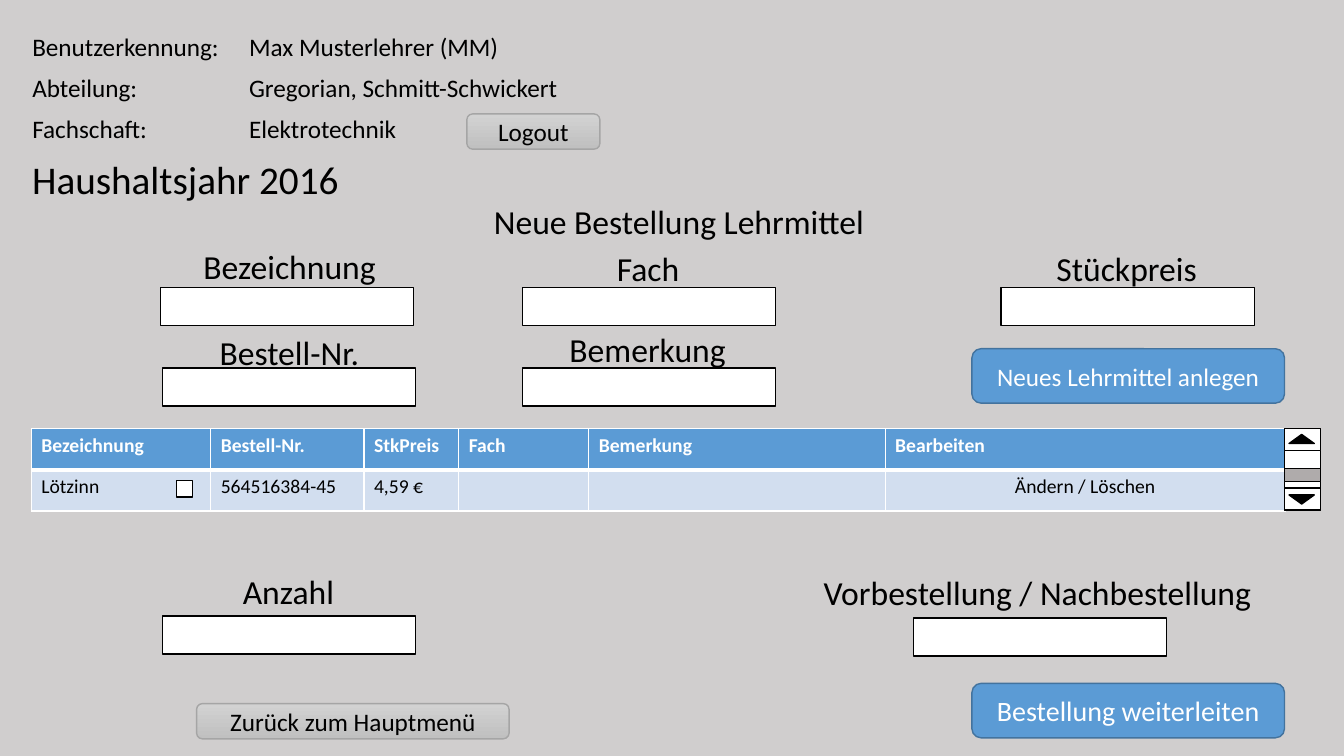
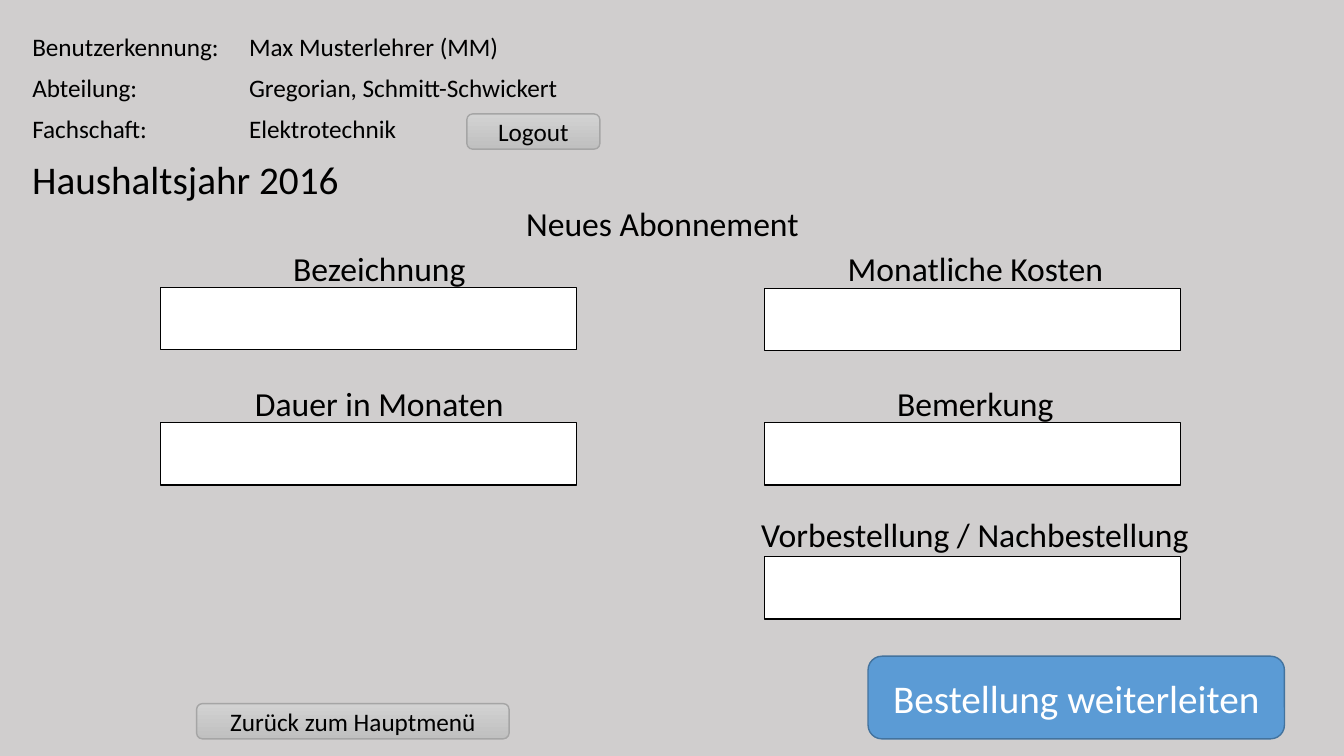
from dataclasses import dataclass

from lxml.etree import SubElement
from pptx import Presentation
from pptx.dml.color import RGBColor
from pptx.enum.shapes import MSO_SHAPE as Shape
from pptx.enum.text import MSO_ANCHOR as Anchor, MSO_AUTO_SIZE as AutoSize, PP_ALIGN as Align
from pptx.oxml.ns import qn
from pptx.shapes.autoshape import Shape as AutoShape
from pptx.shapes.shapetree import _BaseGroupShapes as Shapes
from pptx.slide import Slide
from pptx.table import Table, _Cell as Cell
from pptx.util import Inches, Pt

# Shared look
FONT = "Calibri"
BLACK, WHITE = "000000", "FFFFFF"
BACKGROUND, THUMB = "D0CECE", "AFABAB"
BLUE, BLUE_LINE, BLUE_PALE = "5B9BD5", "43739E", "D2DEEF"
GRAY_TOP, GRAY_BOTTOM, GRAY_LINE = "D2D2D2", "C0C0C0", "A5A5A5"
NO_STYLE = "{2D5ABB26-0587-4C30-8999-92F81FD0307C}"

USER_INFO = [
    ["Benutzerkennung:", "Max Musterlehrer (MM)"],
    ["Abteilung:", "Gregorian, Schmitt-Schwickert"],
    ["Fachschaft:", "Elektrotechnik"],
]
ORDER_ROWS = [
    ["Bezeichnung", "Bestell-Nr.", "StkPreis", "Fach", "Bemerkung", "Bearbeiten"],
    ["Lötzinn", "564516384-45", "4,59 €", "", "", "Ändern / Löschen"],
]


@dataclass
class Rect:
    left: float
    top: float
    width: float
    height: float

    def emu(self) -> list[int]:
        return [Inches(v) for v in (self.left, self.top, self.width, self.height)]


@dataclass
class Label:
    text: str
    left: float
    top: float
    width: float
    size: int = 24
    height: float = 0.5


@dataclass
class Field:
    label: Label
    left: float
    top: float


@dataclass
class Button:
    text: str
    rect: Rect
    size: int = 18
    gray: bool = False


def rgb(value: str) -> RGBColor:
    return RGBColor.from_string(value)


def set_font(p, size: int, color: str = BLACK, bold: bool = False) -> None:
    p.font.name, p.font.size, p.font.bold = FONT, Pt(size), bold
    p.font.color.rgb = rgb(color)


# Basic parts
def add_box(shapes: Shapes, rect: Rect, kind: Shape = Shape.RECTANGLE,
            fill: str = WHITE, line: str = BLACK) -> AutoShape:
    sp = shapes.add_shape(kind, *rect.emu())
    sp.shadow.inherit = False
    sp.fill.solid()
    sp.fill.fore_color.rgb = rgb(fill)
    sp.line.color.rgb = rgb(line)
    sp.line.width = Pt(1)
    return sp


def add_label(slide: Slide, label: Label) -> None:
    rect = Rect(label.left, label.top, label.width, label.height)
    tf = slide.shapes.add_textbox(*rect.emu()).text_frame
    tf.word_wrap = False
    tf.auto_size = AutoSize.SHAPE_TO_FIT_TEXT
    p = tf.paragraphs[0]
    p.text = label.text
    set_font(p, label.size)


def add_fields(slide: Slide, fields: list[Field], width: float, height: float) -> None:
    for field in fields:
        add_box(slide.shapes, Rect(field.left, field.top, width, height))
        add_label(slide, field.label)


def add_button(slide: Slide, button: Button) -> None:
    line = GRAY_LINE if button.gray else BLUE_LINE
    sp = add_box(slide.shapes, button.rect, Shape.ROUNDED_RECTANGLE, BLUE, line)
    if button.gray:
        sp.fill.gradient()
        sp.fill.gradient_angle = 270
        for stop, color in zip(sp.fill.gradient_stops, (GRAY_TOP, GRAY_BOTTOM)):
            stop.color.rgb = rgb(color)
    tf = sp.text_frame
    tf.word_wrap = True
    tf.vertical_anchor = Anchor.MIDDLE
    p = tf.paragraphs[0]
    p.text, p.alignment = button.text, Align.CENTER
    set_font(p, button.size, BLACK if button.gray else WHITE)


# Tables
def add_table(slide: Slide, left: float, top: float, widths: list[float],
              rows: list[list[str]], size: int) -> Table:
    row_height = 0.41
    rect = Rect(left, top, sum(widths), row_height * len(rows))
    table = slide.shapes.add_table(len(rows), len(widths), *rect.emu()).table
    table.first_row = table.horz_banding = False
    table._tbl.tblPr.find(qn("a:tableStyleId")).text = NO_STYLE
    for column, width in zip(table.columns, widths):
        column.width = Inches(width)
    for r, texts in enumerate(rows):
        table.rows[r].height = Inches(row_height)
        for c, text in enumerate(texts):
            cell = table.cell(r, c)
            cell.fill.background()
            p = cell.text_frame.paragraphs[0]
            p.text = text
            set_font(p, size)
    return table


def set_borders(cell: Cell, top: float, bottom: float) -> None:
    tc_pr = cell._tc.get_or_add_tcPr()
    for i, (side, width) in enumerate([("L", 1), ("R", 1), ("T", top), ("B", bottom)]):
        ln = SubElement(tc_pr, qn(f"a:ln{side}"), w=str(Pt(width)))
        SubElement(SubElement(ln, qn("a:solidFill")), qn("a:srgbClr"), val=WHITE)
        tc_pr.insert(i, ln)


def add_order_table(slide: Slide) -> None:
    widths = [1.78, 1.52, 0.94, 1.29, 2.94, 3.97]
    table = add_table(slide, 0.31, 4.25, widths, ORDER_ROWS, 14)
    for c in range(len(widths)):
        header, body = table.cell(0, c), table.cell(1, c)
        set_font(header.text_frame.paragraphs[0], 14, WHITE, bold=True)
        set_borders(header, 1, 3)
        set_borders(body, 3, 1)
        for cell, color in ((header, BLUE), (body, BLUE_PALE)):
            cell.fill.solid()
            cell.fill.fore_color.rgb = rgb(color)
    table.cell(1, len(widths) - 1).text_frame.paragraphs[0].alignment = Align.CENTER


def add_scrollbar(slide: Slide) -> None:
    shapes = slide.shapes.add_group_shape().shapes
    left, width = 12.74, 0.36
    for top, height, fill in [(4.25, 0.81, WHITE), (4.25, 0.22, WHITE),
                              (4.84, 0.22, WHITE), (4.65, 0.13, THUMB)]:
        add_box(shapes, Rect(left, top, width, height), fill=fill)
    for top, rotation in [(4.31, 0), (4.91, 180)]:
        arrow = add_box(shapes, Rect(12.785, top, 0.25, 0.09),
                        Shape.ISOSCELES_TRIANGLE, BLACK)
        arrow.rotation = rotation


# Frame of every form
def add_form(prs: Presentation, title: Label) -> Slide:
    slide = prs.slides.add_slide(prs.slide_layouts[6])
    add_table(slide, 0.22, 0.27, [2.15, 3.57], USER_INFO, 18)
    add_label(slide, Label("Haushaltsjahr 2016", 0.22, 1.49, 3.28, 28, 0.57))
    add_button(slide, Button("Logout", Rect(4.63, 1.13, 1.32, 0.35), gray=True))
    add_button(slide, Button("Zurück zum Hauptmenü", Rect(1.95, 6.98, 3.1, 0.35), gray=True))
    add_label(slide, title)
    return slide


prs = Presentation()
prs.slide_width, prs.slide_height = Inches(13.33), Inches(7.5)
master_fill = prs.slide_master.background.fill
master_fill.solid()
master_fill.fore_color.rgb = rgb(BACKGROUND)

# Slide 1: order teaching material
order = add_form(prs, Label("Neue Bestellung Lehrmittel", 4.8, 1.94, 3.92))
add_fields(order, [
    Field(Label("Bezeichnung", 1.92, 2.39, 1.93), 1.59, 2.85),
    Field(Label("Bestell-Nr.", 2.08, 3.24, 1.6), 1.61, 3.65),
    Field(Label("Fach", 6.02, 2.41, 0.83), 5.18, 2.85),
    Field(Label("Bemerkung", 5.55, 3.21, 1.77), 5.18, 3.65),
    Field(Label("Stückpreis", 10.38, 2.41, 1.61), 9.93, 2.85),
    Field(Label("Anzahl", 2.31, 5.61, 1.12), 1.61, 6.11),
    Field(Label("Vorbestellung / Nachbestellung", 8.07, 5.62, 4.48), 9.06, 6.13),
], 2.51, 0.38)
add_button(order, Button("Neues Lehrmittel anlegen", Rect(9.64, 3.46, 3.1, 0.54)))
add_button(order, Button("Bestellung weiterleiten", Rect(9.64, 6.78, 3.1, 0.54), 20))
add_order_table(order)
add_box(order.shapes, Rect(1.75, 4.77, 0.16, 0.16))
add_scrollbar(order)

# Slide 2: order a subscription
subscription = add_form(prs, Label("Neues Abonnement", 5.12, 1.96, 2.93))
add_fields(subscription, [
    Field(Label("Bezeichnung", 2.81, 2.41, 1.93), 1.59, 2.85),
    Field(Label("Dauer in Monaten", 2.43, 3.75, 2.69), 1.59, 4.19),
    Field(Label("Monatliche Kosten", 8.31, 2.41, 2.76), 7.58, 2.86),
    Field(Label("Bemerkung", 8.8, 3.75, 1.77), 7.58, 4.19),
    Field(Label("Vorbestellung / Nachbestellung", 7.45, 5.05, 4.48), 7.58, 5.52),
], 4.13, 0.62)
add_button(subscription, Button("Bestellung weiterleiten", Rect(8.61, 6.51, 4.13, 0.82), 28))

prs.save("out.pptx")
